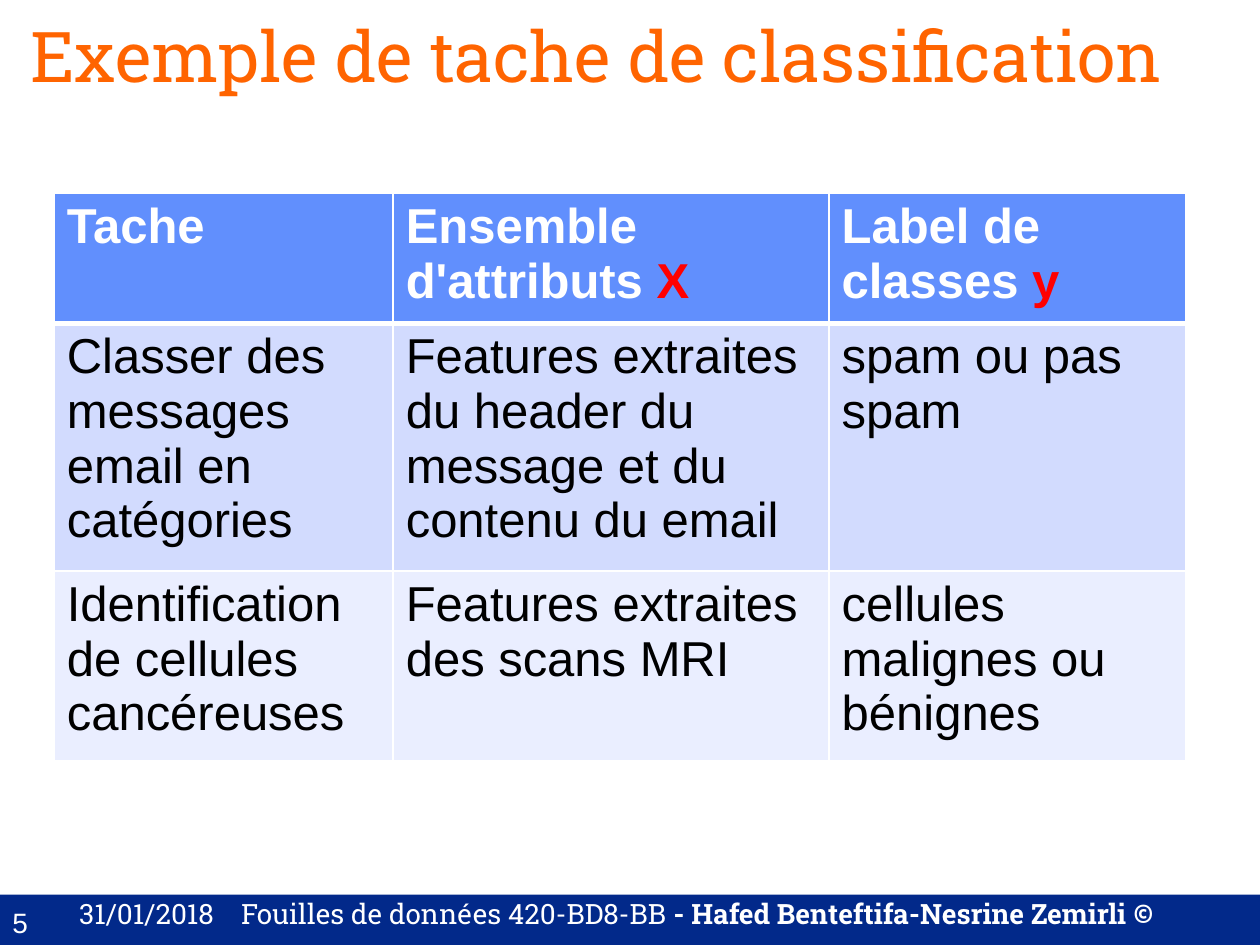
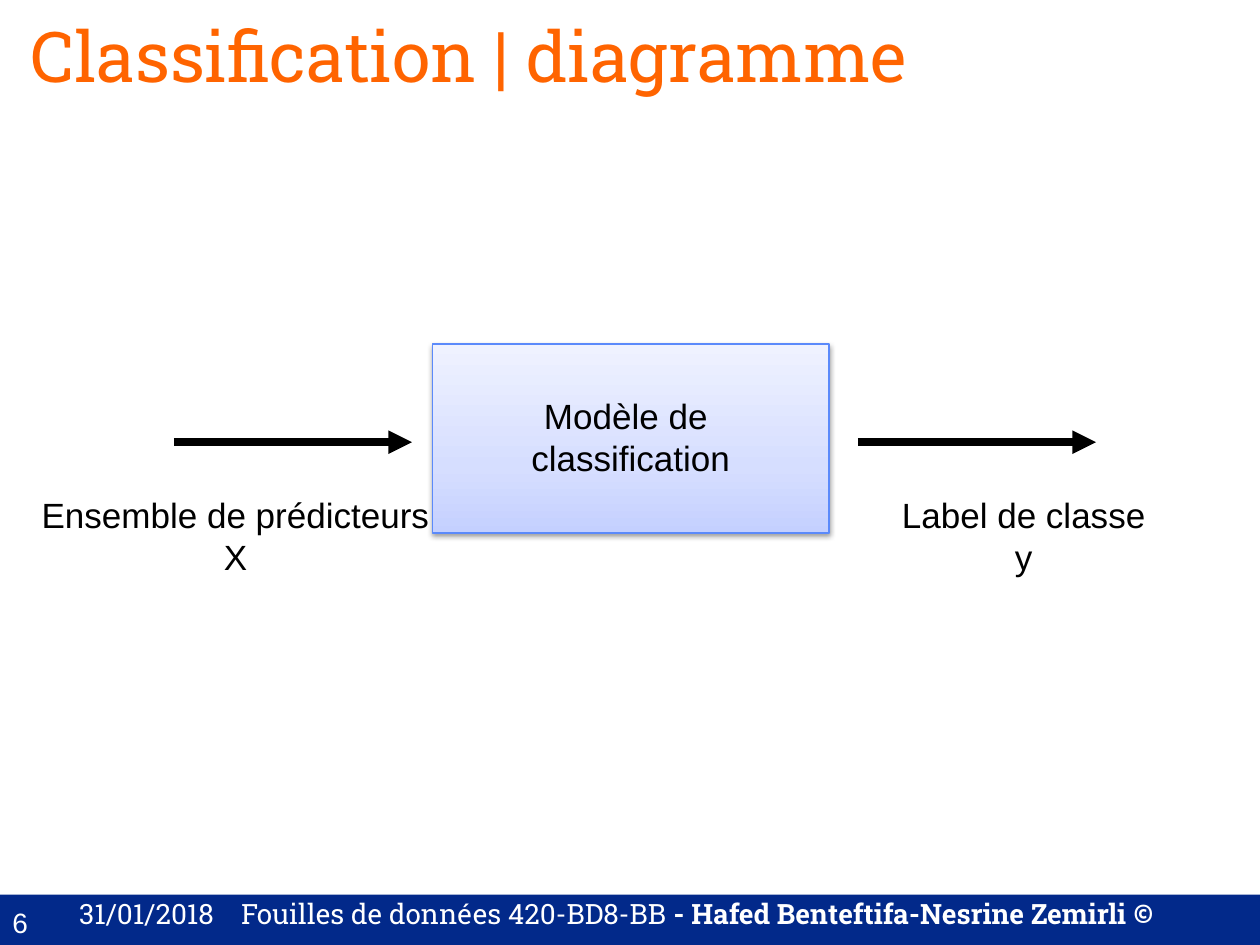
import pptx
import pptx.util
import pptx.dml.color
import pptx.enum.shapes
import pptx.enum.text
import pptx.oxml
import pptx.oxml.ns

Pt = pptx.util.Pt
Align = pptx.enum.text.PP_ALIGN
Anchor = pptx.enum.text.MSO_ANCHOR
Shape = pptx.enum.shapes.MSO_SHAPE
ns = pptx.oxml.ns.nsdecls("a")

NAVY, ORANGE, WHITE, BLACK, RED = "02298A", "FF6400", "FFFFFF", "000000", "FF0000"
SLAB, SANS = "Roboto Slab", "Arial"


def paint(target, tone):
    target.rgb = pptx.dml.color.RGBColor.from_string(tone)


def write(par, parts, size, face):
    for text, tone, bold in parts:
        run = par.add_run()
        run.text = text
        run.font.size = Pt(size)
        run.font.name = face
        run.font.bold = bold
        paint(run.font.color, tone)


deck = pptx.Presentation()
deck.slide_width, deck.slide_height = Pt(720), Pt(540)

slides = []
for number, title in [(5, "Exemple de tache de classification"),
                      (6, "Classification | diagramme")]:
    slide = deck.slides.add_slide(deck.slide_layouts[5])
    slides.append(slide)

    band = slide.shapes.add_shape(Shape.RECTANGLE, 0, Pt(511.2), Pt(720), Pt(28.8))
    band.shadow.inherit = False
    band.fill.solid()
    paint(band.fill.fore_color, NAVY)
    band.line.fill.background()

    page = slide.shapes.add_textbox(0, Pt(514.1), Pt(41.8), Pt(46))
    page.text_frame.word_wrap = True
    write(page.text_frame.paragraphs[0], [(str(number), WHITE, False)], 16, SANS)

    foot = slide.shapes.add_textbox(Pt(38.2), Pt(509), Pt(681.8), Pt(46))
    foot.text_frame.word_wrap = True
    par = foot.text_frame.paragraphs[0]
    write(par, [("31/01/2018\tFouilles de données 420-BD8-BB", WHITE, False),
                (" - Hafed Benteftifa-Nesrine Zemirli ", WHITE, True),
                ("©", WHITE, True)], 16, SLAB)
    par.runs[-1].font.name = "Cabin"
    par._p.get_or_add_pPr().append(pptx.oxml.parse_xml(
        f'<a:tabLst {ns}><a:tab pos="{Pt(92.5)}" algn="l"/></a:tabLst>'))

    head = slide.shapes.title
    head.left, head.top, head.width, head.height = Pt(10.1), Pt(3.6), Pt(697), Pt(67)
    head.text_frame.vertical_anchor = Anchor.TOP
    head.text_frame.auto_size = pptx.enum.text.MSO_AUTO_SIZE.NONE
    par = head.text_frame.paragraphs[0]
    par.alignment = Align.LEFT
    write(par, [(title, ORANGE, False)], 40, SLAB)

tasks, flow = slides

rows = [
    ["Tache", "Ensemble d'attributs ", "Label de classes "],
    ["Classer des messages email en catégories",
     "Features extraites du header du message et du contenu du email",
     "spam ou pas spam"],
    ["Identification de cellules cancéreuses",
     "Features extraites des scans MRI",
     "cellules malignes ou bénignes"],
]
marks = ["", "X", "y"]
fills = ["618FFD", "D2DBFE", "EAEEFF"]
grid = tasks.shapes.add_table(3, 3, Pt(31), Pt(110.2), Pt(646.6), Pt(301)).table
for col, width in zip(grid.columns, [193.7, 249.1, 203.8]):
    col.width = Pt(width)
for row, height in zip(grid.rows, [69, 132, 100]):
    row.height = Pt(height)
for r, row in enumerate(rows):
    for c, text in enumerate(row):
        cell = grid.cell(r, c)
        for side in "LRTB":
            thick = 3 if (r, side) in [(0, "B"), (1, "T")] else 1
            cell._tc.get_or_add_tcPr().append(pptx.oxml.parse_xml(
                f'<a:ln{side} {ns} w="{Pt(thick)}"><a:solidFill>'
                f'<a:srgbClr val="{WHITE}"/></a:solidFill></a:ln{side}>'))
        cell.fill.solid()
        paint(cell.fill.fore_color, fills[r])
        parts = [(text, BLACK if r else WHITE, r == 0)]
        if r == 0 and marks[c]:
            parts.append((marks[c], RED, True))
        write(cell.text_frame.paragraphs[0], parts, 28, SANS)

model = flow.shapes.add_shape(Shape.RECTANGLE, Pt(247), Pt(196.6), Pt(226.8), Pt(108))
paint(model.line.color, "5B8AFB")
model.line.width = Pt(0.75)
stops = "".join(f'<a:gs pos="{spot * 1000}"><a:srgbClr val="{tone}"/></a:gs>'
                for spot, tone in [(0, "C4D0FF"), (35, "D6DEFF"), (100, "EFF2FF")])
model._element.spPr.insert(2, pptx.oxml.parse_xml(
    f'<a:gradFill {ns} rotWithShape="1"><a:gsLst>{stops}</a:gsLst>'
    '<a:lin ang="16200000" scaled="0"/></a:gradFill>'))
model._element.spPr.append(pptx.oxml.parse_xml(
    f'<a:effectLst {ns}><a:outerShdw blurRad="{Pt(3.1)}" dist="{Pt(1.6)}" '
    f'dir="5400000" rotWithShape="0"><a:srgbClr val="{BLACK}">'
    '<a:alpha val="38000"/></a:srgbClr></a:outerShdw></a:effectLst>'))
frame = model.text_frame
frame.vertical_anchor = Anchor.MIDDLE
frame.margin_bottom = Pt(6)

blocks = [(frame, ["Modèle de ", "classification"])]
for left, width, lines in [(15.8, 237.6, ["Ensemble de prédicteurs", "X"]),
                           (507.6, 154.8, ["Label de classe", "y"])]:
    label = flow.shapes.add_textbox(Pt(left), Pt(278.6), Pt(width), Pt(55.4))
    label.text_frame.word_wrap = False
    blocks.append((label.text_frame, lines))
for frame, lines in blocks:
    for i, text in enumerate(lines):
        par = frame.add_paragraph() if i else frame.paragraphs[0]
        par.alignment = Align.CENTER
        write(par, [(text, BLACK, False)], 20, SANS)

for start in [99.4, 490.3]:
    arrow = flow.shapes.add_connector(pptx.enum.shapes.MSO_CONNECTOR.STRAIGHT,
                                      Pt(start), Pt(252.7), Pt(start + 136), Pt(252.7))
    paint(arrow.line.color, BLACK)
    arrow.line.width = Pt(4.5)
    arrow.line._get_or_add_ln().append(
        pptx.oxml.parse_xml(f'<a:tailEnd {ns} type="triangle"/>'))
    arrow._element.spPr.append(pptx.oxml.parse_xml(f'<a:effectLst {ns}/>'))

deck.save("out.pptx")
